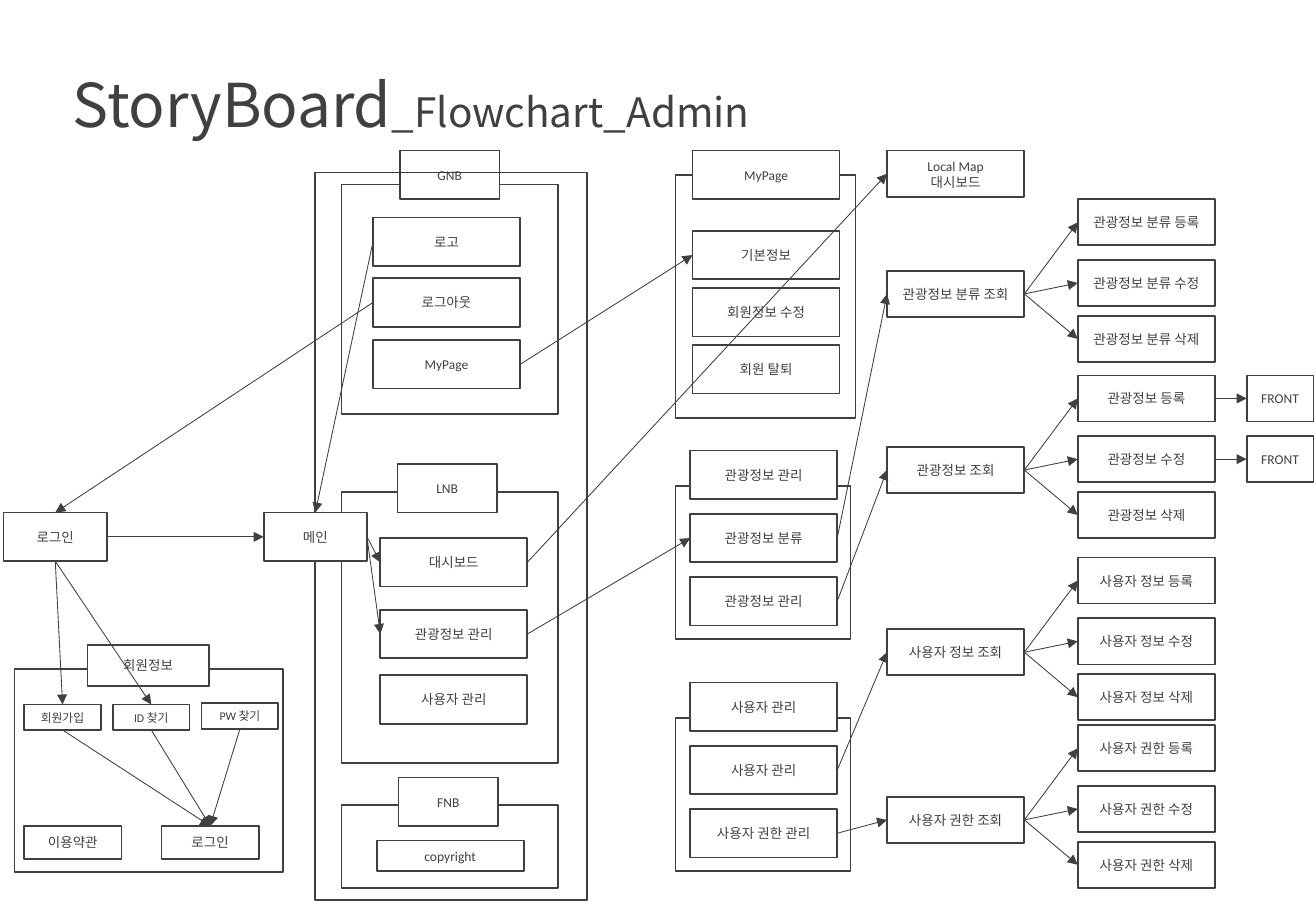
from lxml.etree import SubElement
from pptx import Presentation
from pptx.dml.color import RGBColor
from pptx.enum.shapes import MSO_CONNECTOR, MSO_SHAPE
from pptx.enum.text import MSO_ANCHOR, MSO_AUTO_SIZE, PP_ALIGN
from pptx.oxml.ns import qn
from pptx.util import Inches, Pt

INK = RGBColor(0x40, 0x40, 0x40)
PAPER = RGBColor(0xFF, 0xFF, 0xFF)
BODY_FONT = "Calibri"
KOREAN_FONT = "Noto Sans CJK KR"

# Connection sites of a rectangle
TOP, LEFT, BOTTOM, RIGHT = range(4)

# Box sizes in inches
ROW = (1.21, 0.4)
TAB = (0.82, 0.4)
STATION = (0.85, 0.4)
STEP = (1.13, 0.38)
FRONT = (0.55, 0.38)
FIELD = (0.63, 0.21)
BUTTON = (0.8, 0.27)


def add_span(para, text, font_name, size):
    span = para.add_run()
    span.text = text
    span.font.name = font_name
    span.font.size = Pt(size)
    span.font.color.rgb = INK
    SubElement(span.font._element, qn("a:ea"), typeface=KOREAN_FONT)


def add_box(page, left, top, size, text="", font_size=8, filled=True):
    width, height = size
    box = page.shapes.add_shape(MSO_SHAPE.RECTANGLE, Inches(left), Inches(top),
                                Inches(width), Inches(height))
    box.shadow.inherit = False
    if filled:
        box.fill.solid()
        box.fill.fore_color.rgb = PAPER
    else:
        box.fill.background()
    box.line.color.rgb = INK
    box.line.width = Pt(1)
    if text:
        box.text_frame.vertical_anchor = MSO_ANCHOR.MIDDLE
        para = box.text_frame.paragraphs[0]
        para.alignment = PP_ALIGN.CENTER
        for index, line in enumerate(text.split("\n")):
            if index:
                para.add_line_break()
            add_span(para, line, BODY_FONT, font_size)
    return box


def add_arrow(page, start, start_side, end, end_side):
    arrow = page.shapes.add_connector(MSO_CONNECTOR.STRAIGHT, 0, 0, 0, 0)
    arrow.begin_connect(start, start_side)
    arrow.end_connect(end, end_side)
    arrow.line.color.rgb = INK
    arrow.line.width = Pt(0.5)
    SubElement(arrow.line._get_or_add_ln(), qn("a:tailEnd"), type="triangle")
    SubElement(arrow._element.spPr, qn("a:effectLst"))


def add_title(page, left, top, width, height):
    box = page.shapes.add_textbox(Inches(left), Inches(top), Inches(width), Inches(height))
    frame = box.text_frame
    frame.word_wrap = False
    frame.auto_size = MSO_AUTO_SIZE.SHAPE_TO_FIT_TEXT
    frame.vertical_anchor = MSO_ANCHOR.MIDDLE
    para = frame.paragraphs[0]
    para.line_spacing = 0.9
    add_span(para, "StoryBoard", KOREAN_FONT, 35.8)
    add_span(para, "_Flowchart_Admin", KOREAN_FONT, 24)


def add_panel(page, area, title, tab, tab_size, inset, rows, row_size=ROW):
    """Frame with a title tab on its top edge and a column of rows (offset, label)."""
    left, top, width, height = area
    add_box(page, left, top, (width, height))
    add_box(page, left + tab[0], top + tab[1], tab_size, title)
    return [add_box(page, left + inset, top + offset, row_size, label)
            for offset, label in rows]


def add_member_panel(page, left, top, width, height):
    add_box(page, left, top, (width, height))
    add_box(page, left + 0.6, top - 0.2, (1, 0.34), "회원정보")
    fields = [add_box(page, left + 0.08 + 0.73 * column, top + offset, FIELD, label, 7)
              for column, (offset, label) in enumerate(
                  [(0.29, "회원가입"), (0.29, "ID 찾기"), (0.28, "PW 찾기")])]
    add_box(page, left + 0.08, top + 1.29, BUTTON, "이용약관")
    login = add_box(page, left + 1.21, top + 1.29, BUTTON, "로그인")
    for field in fields:
        add_arrow(page, field, BOTTOM, login, TOP)
    return fields


def add_branch(page, left, top, subject, front_count=0):
    """Query box that leads to register, edit and delete boxes."""
    query = add_box(page, left, top + 0.59, STEP, f"{subject} 조회")
    actions = [(0, "등록"), (0.5, "수정"), (0.96, "삭제")]
    for index, (offset, action) in enumerate(actions):
        leaf = add_box(page, left + 1.57, top + offset, STEP, f"{subject} {action}")
        add_arrow(page, query, RIGHT, leaf, LEFT)
        if index < front_count:
            front = add_box(page, left + 2.96, top + offset, FRONT, "FRONT")
            add_arrow(page, leaf, RIGHT, front, LEFT)
    return query


def build_flowchart(page):
    add_title(page, 0.5, 0.54, 6.01, 0.7)

    # Main page: three navigation panels inside one outline
    logo, logout, my_page = add_panel(
        page, (2.81, 1.52, 1.78, 1.89), "GNB", (0.48, -0.28), TAB, 0.26,
        [(0.27, "로고"), (0.77, "로그아웃"), (1.28, "MyPage")])
    dashboard, tour_menu, _ = add_panel(
        page, (2.81, 4.05, 1.78, 2.23), "LNB", (0.46, -0.23), TAB, 0.32,
        [(0.38, "대시보드"), (0.97, "관광정보 관리"), (1.51, "사용자 관리")])
    add_panel(page, (2.81, 6.63, 1.78, 0.68), "FNB", (0.47, -0.23), TAB, 0.29,
              [(0.29, "copyright")], (1.21, 0.25))
    add_box(page, 2.59, 1.42, (2.24, 5.99), filled=False)

    # Login, main and member information
    login = add_box(page, 0.03, 4.22, STATION, "로그인")
    main = add_box(page, 2.17, 4.22, STATION, "메인")
    sign_up, find_id, _ = add_member_panel(page, 0.12, 5.51, 2.21, 1.67)

    # Second-level panels
    basic_info, _, _ = add_panel(
        page, (5.56, 1.44, 1.48, 2), "MyPage", (0.14, -0.2), ROW, 0.14,
        [(0.46, "기본정보"), (0.93, "회원정보 수정"), (1.4, "회원 탈퇴")])
    tour_class, tour_info = add_panel(
        page, (5.56, 4, 1.44, 1.26), "관광정보 관리", (0.12, -0.29), ROW, 0.12,
        [(0.23, "관광정보 분류"), (0.75, "관광정보 관리")])
    user_info, user_rights = add_panel(
        page, (5.56, 5.91, 1.44, 1.26), "사용자 관리", (0.12, -0.29), ROW, 0.12,
        [(0.23, "사용자 관리"), (0.75, "사용자 권한 관리")])

    # Query branches
    map_board = add_box(page, 7.3, 1.24, STEP, "Local Map\n대시보드")
    class_query = add_branch(page, 7.3, 1.64, "관광정보 분류")
    tour_query = add_branch(page, 7.3, 3.09, "관광정보", front_count=2)
    user_query = add_branch(page, 7.3, 4.59, "사용자 정보")
    rights_query = add_branch(page, 7.3, 5.97, "사용자 권한")

    # Arrows between regions
    for start, start_side, end, end_side in [
        (login, RIGHT, main, LEFT),
        (login, BOTTOM, sign_up, TOP),
        (login, BOTTOM, find_id, TOP),
        (logo, LEFT, main, TOP),
        (logout, LEFT, login, TOP),
        (my_page, RIGHT, basic_info, LEFT),
        (main, RIGHT, dashboard, LEFT),
        (main, RIGHT, tour_menu, LEFT),
        (dashboard, RIGHT, map_board, LEFT),
        (tour_menu, RIGHT, tour_class, LEFT),
        (tour_class, RIGHT, class_query, LEFT),
        (tour_info, RIGHT, tour_query, LEFT),
        (user_info, RIGHT, user_query, LEFT),
        (user_rights, RIGHT, rights_query, LEFT),
    ]:
        add_arrow(page, start, start_side, end, end_side)


def main():
    deck = Presentation()
    deck.slide_width = Inches(10.83)
    deck.slide_height = Inches(7.5)
    build_flowchart(deck.slides.add_slide(deck.slide_layouts[6]))
    deck.save("out.pptx")


if __name__ == "__main__":
    main()
